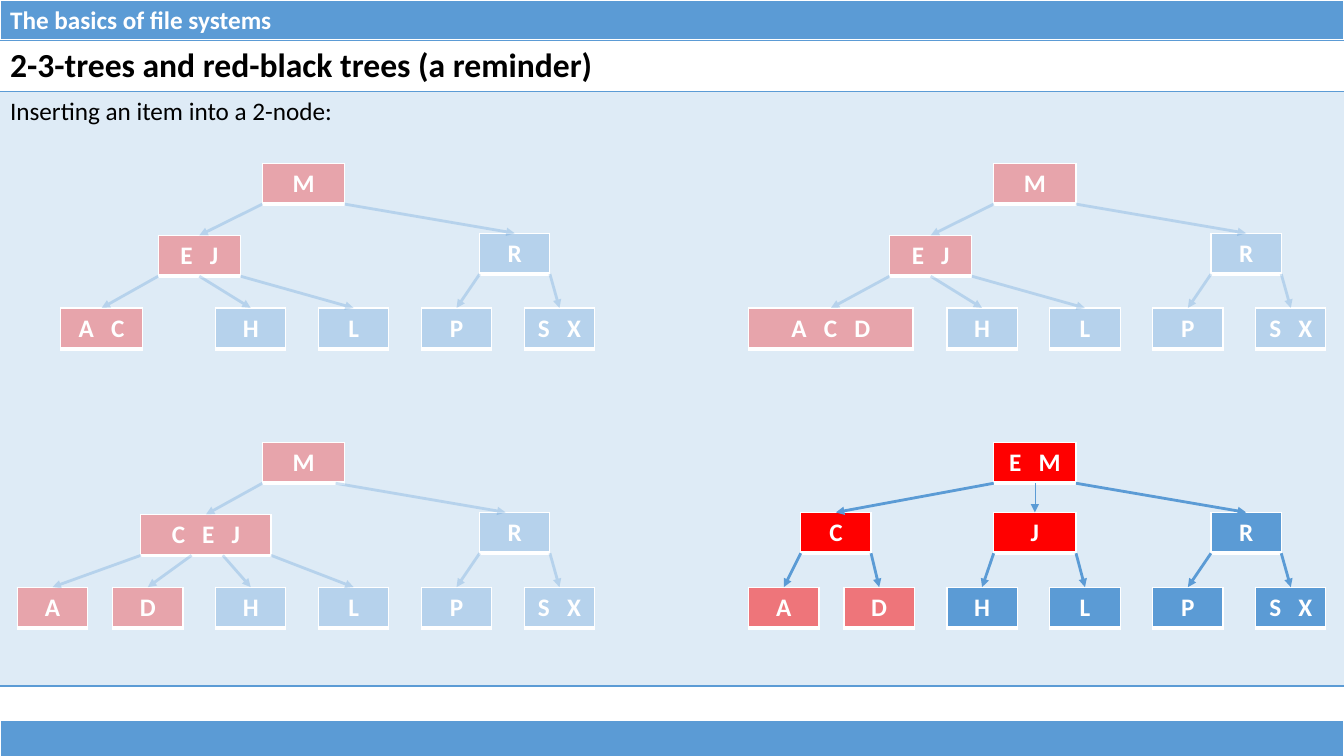
"""Build a slide that shows an insertion into a 2-3-tree in four steps."""
from dataclasses import dataclass

from lxml.etree import SubElement
from pptx import Presentation
from pptx.dml.color import RGBColor
from pptx.enum.shapes import MSO_CONNECTOR as Connector
from pptx.enum.text import PP_ALIGN as Align
from pptx.oxml.ns import qn
from pptx.slide import Slide
from pptx.table import Table
from pptx.table import _Cell as Cell
from pptx.util import Pt

COLORS = {"blue": "5B9BD5", "red": "FF0000", "white": "FFFFFF", "black": "000000"}
FONT = "Calibri"
SLIDE_WIDTH, SLIDE_HEIGHT = 960, 540
HEADER_HEIGHT, TITLE_HEIGHT, CONTENT_HEIGHT = 28.8, 36.5, 424.7
FOOTER_TOP, FOOTER_HEIGHT = 514.6, 25

BOX_HEIGHT = 29.2
ONE_KEY, TWO_KEYS, THREE_KEYS, WIDE_LEAF = 50.2, 58.8, 93, 117.4
KEY_SPACING = 4.1
ROOT_LEFT, RIGHT_BRANCH_LEFT, OUTER_LEAF_LEFT = 187.4, 342.6, 12.4
FIRST_LEAF_LEFT, LEAF_STEP = 154, 73.5
BRANCH_TOP, SPLIT_TOP, LEAF_TOP = 50, 51.5, 103.4
LEFT_END, MIDDLE, RIGHT_END = 0, 0.5, 1

LEFT_COLUMN, RIGHT_COLUMN = 0, 522.4
UPPER_ROW, LOWER_ROW = 116.6, 316
FADED, HALF, SOLID, TINT = 30, 50, 100, 20

FRAMED = {"L": ("white", 1), "R": ("white", 1), "T": ("white", 1), "B": ("white", 3)}
RULED = {"T": ("blue", 1), "B": ("blue", 1)}


@dataclass(frozen=True)
class Node:
    """A box of keys; its arrow runs from a share of the parent's width to one of its own."""
    keys: str
    left: float
    top: float
    width: float = ONE_KEY
    color: str = "red"
    opacity: int | None = None
    parent: str = ""
    anchor: float = LEFT_END
    tip: float = MIDDLE
    line_width: float = 2


@dataclass(frozen=True)
class Tree:
    """One step of the insertion; node positions are relative to its corner."""
    left: float
    top: float
    opacity: int
    nodes: tuple[Node, ...]


def root(keys: str) -> Node:
    return Node(keys, ROOT_LEFT, 0, TWO_KEYS)


def leaf(keys: str, column: int, parent: str, anchor: float,
         color: str = "blue", opacity: int | None = None) -> Node:
    left = FIRST_LEAF_LEFT + column * LEAF_STEP
    return Node(keys, left, LEAF_TOP, color=color, opacity=opacity,
                parent=parent, anchor=anchor)


def right_branch(parent: str, anchor: float = RIGHT_END,
                 tip: float = MIDDLE) -> tuple[Node, ...]:
    return (Node("R", RIGHT_BRANCH_LEFT, BRANCH_TOP, color="blue",
                 parent=parent, anchor=anchor, tip=tip),
            leaf("P", 2, "R", LEFT_END),
            leaf("S X", 3, "R", RIGHT_END))


def tree_before_split(left_leaf: Node) -> tuple[Node, ...]:
    return (root("M"),
            Node("E J", 113, SPLIT_TOP, TWO_KEYS, parent="M"),
            left_leaf,
            leaf("H", 0, "E J", MIDDLE),
            leaf("L", 1, "E J", RIGHT_END),
            *right_branch("M"))


START = tree_before_split(Node("A C", 43.2, LEAF_TOP, TWO_KEYS, parent="E J"))
LEAF_FILLED = tree_before_split(
    Node("A C D", OUTER_LEAF_LEFT, LEAF_TOP, WIDE_LEAF, parent="E J"))
LEAF_SPLIT = (
    root("M"),
    Node("C E J", 100.6, SPLIT_TOP, THREE_KEYS, parent="M"),
    Node("A", OUTER_LEAF_LEFT, LEAF_TOP, parent="C E J"),
    leaf("D", -1, "C E J", 0.39, "red"),
    leaf("H", 0, "C E J", 0.63),
    leaf("L", 1, "C E J", RIGHT_END),
    *right_branch("M", anchor=0.89, tip=0.37))
BRANCH_SPLIT = (
    root("E M"),
    Node("C", 49.6, BRANCH_TOP, parent="E M"),
    Node("J", ROOT_LEFT, BRANCH_TOP, TWO_KEYS, parent="E M",
         anchor=MIDDLE, line_width=0.5),
    Node("A", OUTER_LEAF_LEFT, LEAF_TOP, opacity=HALF, parent="C"),
    leaf("D", -1, "C", RIGHT_END, "red", HALF),
    leaf("H", 0, "J", LEFT_END),
    leaf("L", 1, "J", RIGHT_END),
    *right_branch("E M"))
TREES = (
    Tree(LEFT_COLUMN, UPPER_ROW, FADED, START),
    Tree(RIGHT_COLUMN, UPPER_ROW, FADED, LEAF_FILLED),
    Tree(LEFT_COLUMN, LOWER_ROW, FADED, LEAF_SPLIT),
    Tree(RIGHT_COLUMN, LOWER_ROW, SOLID, BRANCH_SPLIT),
)


def rgb(name: str) -> RGBColor:
    return RGBColor.from_string(COLORS[name])


def set_opacity(element, percent: int) -> None:
    if percent < SOLID:
        color = next(element.iter(qn("a:srgbClr")))
        SubElement(color, qn("a:alpha"), val=str(percent * 1000))


def add_table(slide: Slide, left: float, top: float, width: float,
              *heights: float) -> Table:
    frame = slide.shapes.add_table(len(heights), 1, Pt(left), Pt(top),
                                   Pt(width), Pt(sum(heights)))
    table = frame.table
    table.first_row = table.horz_banding = False
    for row, height in zip(table.rows, heights):
        row.height = Pt(height)
    return table


def style_cell(cell: Cell, fill: str | None, opacity: int,
               borders: dict[str, tuple[str, float]]) -> None:
    properties = cell._tc.get_or_add_tcPr()
    if fill:
        cell.fill.solid()
        cell.fill.fore_color.rgb = rgb(fill)
        set_opacity(properties, opacity)
    else:
        cell.fill.background()
    for position, side in enumerate("LRTB"):
        line = SubElement(properties, qn(f"a:ln{side}"))
        properties.insert(position, line)
        if side in borders:
            color, width = borders[side]
            line.set("w", str(Pt(width)))
            solid = SubElement(line, qn("a:solidFill"))
            SubElement(solid, qn("a:srgbClr"), val=COLORS[color])
        else:
            SubElement(line, qn("a:noFill"))


def write_text(cell: Cell, text: str, color: str, size: float = 18,
               bold: bool = True) -> None:
    cell.text_frame.text = text
    for run in cell.text_frame.paragraphs[0].runs:
        run.font.name, run.font.size, run.font.bold = FONT, Pt(size), bold
        run.font.color.rgb = rgb(color)


def draw_node(slide: Slide, tree: Tree, node: Node) -> None:
    table = add_table(slide, tree.left + node.left, tree.top + node.top,
                      node.width, BOX_HEIGHT)
    cell = table.cell(0, 0)
    style_cell(cell, node.color, node.opacity or tree.opacity, FRAMED)
    write_text(cell, node.keys, "white")
    cell.margin_left = cell.margin_right = 0
    paragraph = cell.text_frame.paragraphs[0]
    paragraph.alignment = Align.CENTER
    if " " in node.keys:
        paragraph.runs[0].font._element.set("spc", str(round(KEY_SPACING * 100)))


def draw_arrow(slide: Slide, tree: Tree, parent: Node, child: Node) -> None:
    start_x = tree.left + parent.left + child.anchor * parent.width
    start_y = tree.top + parent.top + BOX_HEIGHT
    end_x = tree.left + child.left + child.tip * child.width
    end_y = tree.top + child.top
    arrow = slide.shapes.add_connector(Connector.STRAIGHT, Pt(start_x), Pt(start_y),
                                       Pt(end_x), Pt(end_y))
    arrow.line.color.rgb = rgb("blue")
    arrow.line.width = Pt(child.line_width)
    properties = arrow._element.spPr
    set_opacity(properties, tree.opacity)
    SubElement(properties.find(qn("a:ln")), qn("a:tailEnd"), type="triangle")
    SubElement(properties, qn("a:effectLst"))


def draw_tree(slide: Slide, tree: Tree) -> None:
    by_keys = {node.keys: node for node in tree.nodes}
    for node in tree.nodes:
        draw_node(slide, tree, node)
    for node in tree.nodes:
        if node.parent:
            draw_arrow(slide, tree, by_keys[node.parent], node)


def draw_page(slide: Slide) -> None:
    header = add_table(slide, 0, 0, SLIDE_WIDTH, HEADER_HEIGHT).cell(0, 0)
    footer = add_table(slide, 0, FOOTER_TOP, SLIDE_WIDTH, FOOTER_HEIGHT).cell(0, 0)
    for band in (header, footer):
        style_cell(band, "blue", SOLID, FRAMED)
    write_text(header, "The basics of file systems", "white")
    body = add_table(slide, 0, HEADER_HEIGHT, SLIDE_WIDTH, TITLE_HEIGHT, CONTENT_HEIGHT)
    title, content = body.cell(0, 0), body.cell(1, 0)
    style_cell(title, None, SOLID, RULED)
    write_text(title, "2-3-trees and red-black trees (a reminder)", "black", 24)
    style_cell(content, "blue", TINT, RULED)
    write_text(content, "Inserting an item into a 2-node:", "black", bold=False)


def main() -> None:
    presentation = Presentation()
    presentation.slide_width, presentation.slide_height = Pt(SLIDE_WIDTH), Pt(SLIDE_HEIGHT)
    slide = presentation.slides.add_slide(presentation.slide_layouts[6])
    draw_page(slide)
    for tree in TREES:
        draw_tree(slide, tree)
    presentation.save("out.pptx")


if __name__ == "__main__":
    main()
